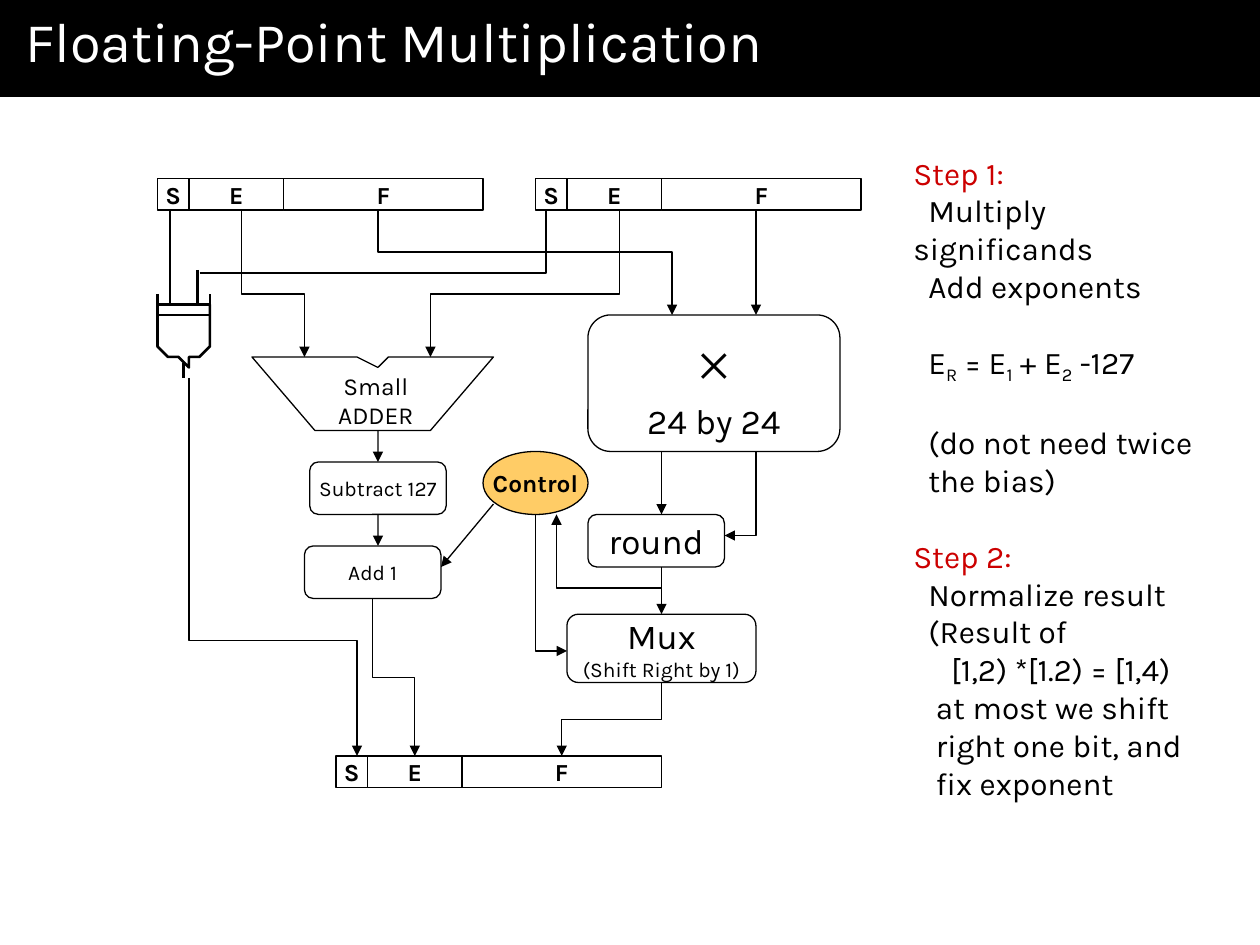
from dataclasses import dataclass
from typing import NamedTuple

from pptx import Presentation
from pptx.dml.color import RGBColor
from pptx.enum.shapes import MSO_CONNECTOR as Link, MSO_SHAPE as Preset
from pptx.enum.text import MSO_ANCHOR as Anchor, PP_ALIGN as Align
from pptx.oxml.ns import qn
from pptx.util import Inches, Pt
from lxml.etree import SubElement

UNIT = 1 / 12  # grid step in inches: the slide is 120 columns by 90 rows
BLACK, WHITE, RED, AMBER = "000000", "FFFFFF", "CC0000", "FFCC66"
Point = tuple[float, float]


class Run(NamedTuple):
    text: str
    size: float | None = None
    font: str = "Karla"
    baseline: int = 0


@dataclass
class Line:
    runs: list[Run]
    color: str = BLACK
    margin: float = 0  # inches
    first: float = 0  # inches, relative to margin
    before: float = 0  # points


@dataclass
class Block:
    left: float
    top: float
    width: float
    height: float
    runs: list[Run]
    preset: Preset = Preset.ROUNDED_RECTANGLE
    fill: str = WHITE
    bold: bool = False


def grid(value: float) -> int:
    return Inches(value * UNIT)


def rgb(color: str) -> RGBColor:
    return RGBColor.from_string(color)


def write(shape, lines: list[Line], *, size=14, bold=False, align=Align.LEFT,
          anchor=Anchor.TOP, inset=0.1, wrap=False):
    frame = shape.text_frame
    frame.word_wrap, frame.vertical_anchor = wrap, anchor
    frame.margin_left = frame.margin_right = Inches(inset)
    frame.margin_top = frame.margin_bottom = Inches(0.05)
    for index, line in enumerate(lines):
        paragraph = frame.add_paragraph() if index else frame.paragraphs[0]
        paragraph.alignment = align
        paragraph.space_before = Pt(line.before)
        properties = paragraph._p.get_or_add_pPr()
        properties.set("marL", str(Inches(line.margin)))
        properties.set("indent", str(Inches(line.first)))
        for part in line.runs:
            for number, piece in enumerate(part.text.split("\n")):
                if number:
                    paragraph.add_line_break()
                if not piece:
                    continue
                run = paragraph.add_run()
                run.text = piece
                run.font.size, run.font.bold = Pt(part.size or size), bold
                run.font.name = part.font
                run.font.color.rgb = rgb(line.color)
                if part.baseline:
                    run._r.get_or_add_rPr().set("baseline", str(part.baseline * 1000))


def outline(shape, weight=0.75, arrow=False):
    shape.line.color.rgb = rgb(BLACK)
    shape.line.width = Pt(weight)
    if arrow:
        SubElement(shape.line._get_or_add_ln(), qn("a:tailEnd"), type="triangle")


def add_block(slide, block: Block):
    shape = slide.shapes.add_shape(
        block.preset, *map(grid, (block.left, block.top, block.width, block.height)))
    shape.shadow.inherit = False
    shape.fill.solid()
    shape.fill.fore_color.rgb = rgb(block.fill)
    outline(shape)
    write(shape, [Line(block.runs)], bold=block.bold, align=Align.CENTER,
          anchor=Anchor.MIDDLE)
    return shape


def add_register(slide, left: float, top: float):
    for name, width in (("S", 3), ("E", 9), ("F", 19)):
        add_block(slide, Block(left, top, width, 3, [Run(name)], Preset.RECTANGLE, bold=True))
        left += width


def add_path(slide, points: list[Point], weight=0.75, arrow=False, filled=False, close=False):
    builder = slide.shapes.build_freeform(*points[0], scale=Inches(UNIT))
    builder.add_line_segments(points[1:], close=close)
    shape = builder.convert_to_shape()
    shape.shadow.inherit = False
    if filled:
        shape.fill.solid()
        shape.fill.fore_color.rgb = rgb(WHITE)
    else:
        shape.fill.background()
    outline(shape, weight, arrow)


def add_line(slide, start: Point, end: Point, weight=0.75, arrow=False, kind=Link.STRAIGHT):
    line = slide.shapes.add_connector(kind, *map(grid, (*start, *end)))
    outline(line, weight, arrow)
    SubElement(line._element.spPr, qn("a:effectLst"))
    return line


def add_elbow(slide, start: Point, end: Point):
    """Arrow that leaves and arrives vertically, with its bend halfway."""
    (x1, y1), (x2, y2) = start, end
    across, down = abs(x2 - x1), y2 - y1
    left, top = (x1 + x2 - down) / 2, (y1 + y2 - across) / 2
    elbow = add_line(slide, (left, top), (left + down, top + across),
                     arrow=True, kind=Link.ELBOW)
    frame = elbow._element.spPr.find(qn("a:xfrm"))
    frame.set("rot", str((90 if x2 < x1 else 270) * 60000))
    if x2 > x1:
        frame.set("flipH", "1")


def add_xor_gate(slide, center: float, top: float):
    def mirrored(half: list[Point], y: float) -> list[Point]:
        left = [(center - dx, y + dy) for dx, dy in half]
        return left + [(2 * center - x, y) for x, y in reversed(left[:-1])]

    cup = [(2.6, 0), (2.6, 2.9), (2.5, 3.4), (2.3, 3.9), (1.7, 4.6), (0.85, 5.1), (0, 5.4)]
    arc = [(2.6, 0), (2.5, 0.3), (2.25, 0.6), (1.75, 0.9), (0.85, 1.1), (0, 1.15)]
    add_path(slide, mirrored(cup, top + 1.2), 1.5, filled=True)
    for y in (top, top + 1.2):
        add_path(slide, mirrored(arc, y), 1.5)
    for x in (center - 1.3, center + 1.3):
        add_line(slide, (x, top - 2.3), (x, top + 1), 1.5)
    add_line(slide, (center, top + 6.6), (center, top + 8), 1.5)


def add_datapath(slide):
    for corner in ((15, 17), (51, 17), (32, 72)):
        add_register(slide, *corner)
    add_block(slide, Block(56, 30, 24, 13, [Run("×\n", 36, "Times New Roman"),
                                           Run("24 by 24", 20)]))
    add_block(slide, Block(56, 49, 13, 5, [Run("round", 20)]))
    mux = add_block(slide, Block(54, 58.5, 18, 6.5, [Run("Mux\n", 20),
                                                    Run("(Shift Right by 1)", 12)]))
    add_block(slide, Block(46, 43, 10, 6, [Run("Control")], Preset.OVAL, AMBER, True))
    subtract = add_block(slide, Block(29.5, 44, 13, 5, [Run("Subtract 127", 12)]))
    add_block(slide, Block(29, 52, 13, 5, [Run("Add 1", 12)]))
    add_xor_gate(slide, 17.5, 28)

    add_path(slide, [(24, 34), (34.1, 34), (35.5, 35.2), (36.9, 34), (47, 34),
                     (41.3, 41), (29.7, 41)], filled=True, close=True)
    adder = slide.shapes.add_textbox(*map(grid, (30.8, 34.7, 10, 6.8)))
    write(adder, [Line([Run("Small\nADDER")])], align=Align.CENTER)

    add_line(slide, (16.2, 20), (16.2, 25.7))
    add_path(slide, [(18.8, 25.7), (52.5, 25.7), (52.5, 20)])
    for route in (
        [(36, 20), (36, 24), (64, 24), (64, 30)],
        [(23, 20), (23, 28), (29, 28), (29, 34)],
        [(59, 20), (59, 28), (41, 28), (41, 34)],
        [(72, 43), (72, 51), (69, 51)],
        [(51, 49), (51, 62), (54, 62)],
        [(17.5, 36), (17.5, 61), (33.5, 61), (33.5, 72)],
        [(63, 56), (53, 56), (53, 49)],
    ):
        add_path(slide, route, arrow=True)
    for start, end in (((72, 20), (72, 30)), ((63, 43), (63, 49)), ((47, 48), (42, 54))):
        add_line(slide, start, end, arrow=True)
    add_line(slide, (63, 54), (63, 58.5), arrow=True).end_connect(mux, 0)
    add_line(slide, (36, 41), (36, 44), arrow=True).end_connect(subtract, 0)
    add_line(slide, (36, 49), (36, 52), arrow=True).begin_connect(subtract, 2)
    add_elbow(slide, (63, 65), (53.5, 72))
    add_elbow(slide, (35.5, 57), (39.5, 72))


def add_steps(slide):
    gap = 21.6
    equation = [Run("E"), Run("R", baseline=-25), Run(" = E"), Run("1", baseline=-25),
                Run(" + E"), Run("2", baseline=-25), Run(" -127")]
    steps = slide.shapes.add_textbox(Inches(7.15), Inches(1.17), Inches(2.73), Inches(5.24))
    write(steps, [
        Line([Run("Step 1:")], RED),
        Line([Run("Multiply\nsignificands")], first=0.12),
        Line([Run("Add exponents")], margin=0.12),
        Line(equation, margin=0.12, before=gap),
        Line([Run("(do not need twice\nthe bias)")], margin=0.12, before=gap),
        Line([Run("Step 2:")], RED, before=gap),
        Line([Run("Normalize result\n(Result of")], margin=0.12),
        Line([Run("[1,2) *[1.2) = [1,4)")], margin=0.3),
        Line([Run("at most we shift\nright one bit, and\nfix exponent")], margin=0.18),
    ], size=18, wrap=True)


def main():
    deck = Presentation()
    deck.slide_width, deck.slide_height = Inches(10), Inches(7.5)
    slide = deck.slides.add_slide(deck.slide_layouts[6])
    banner = slide.shapes.add_shape(Preset.RECTANGLE, 0, 0, deck.slide_width, Inches(0.77))
    banner.shadow.inherit = False
    banner.fill.solid()
    banner.fill.fore_color.rgb = rgb(BLACK)
    banner.line.fill.background()
    write(banner, [Line([Run("Floating-Point Multiplication")], WHITE)],
          size=32, inset=0.2, wrap=True)
    add_datapath(slide)
    add_steps(slide)
    deck.save("out.pptx")


if __name__ == "__main__":
    main()
